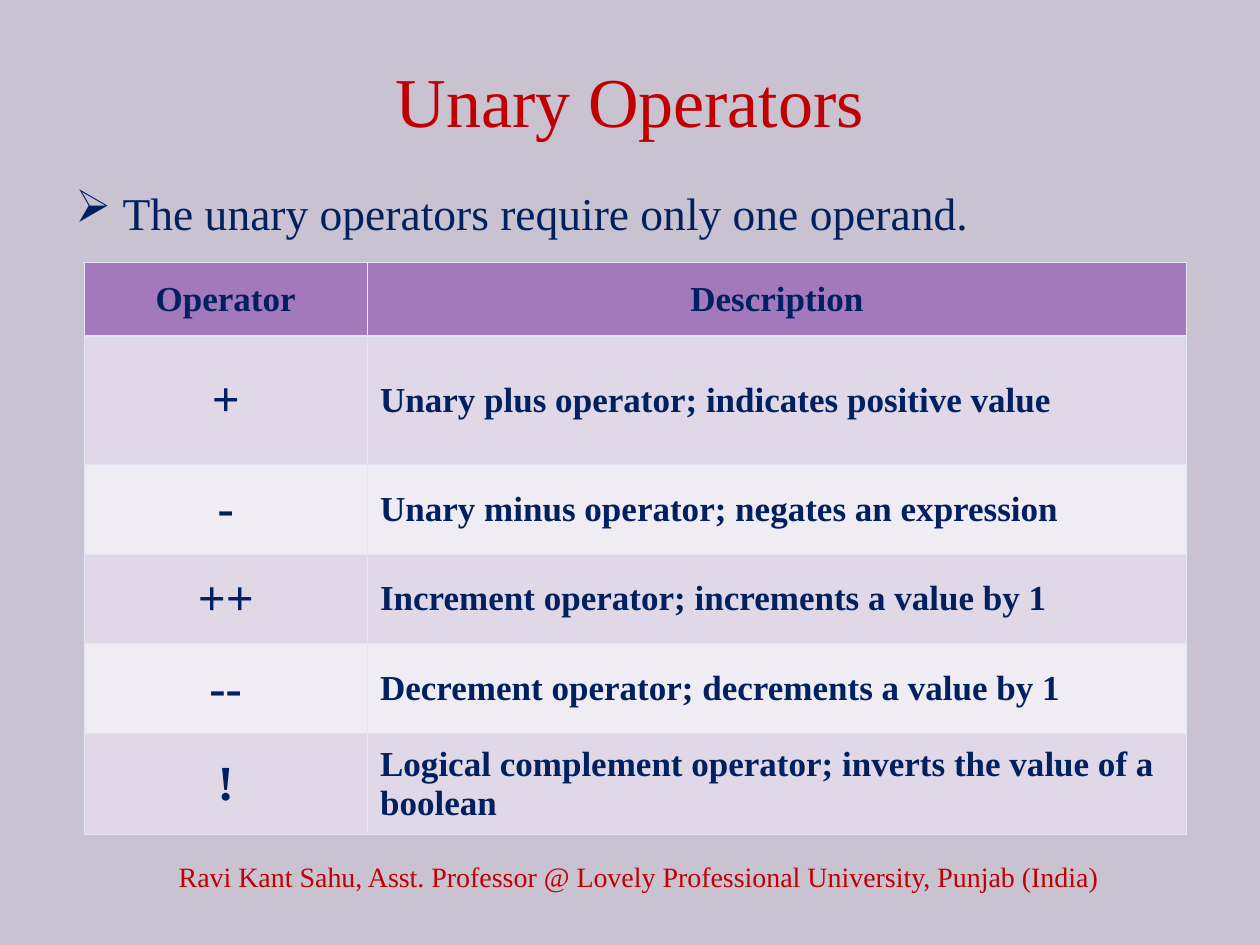
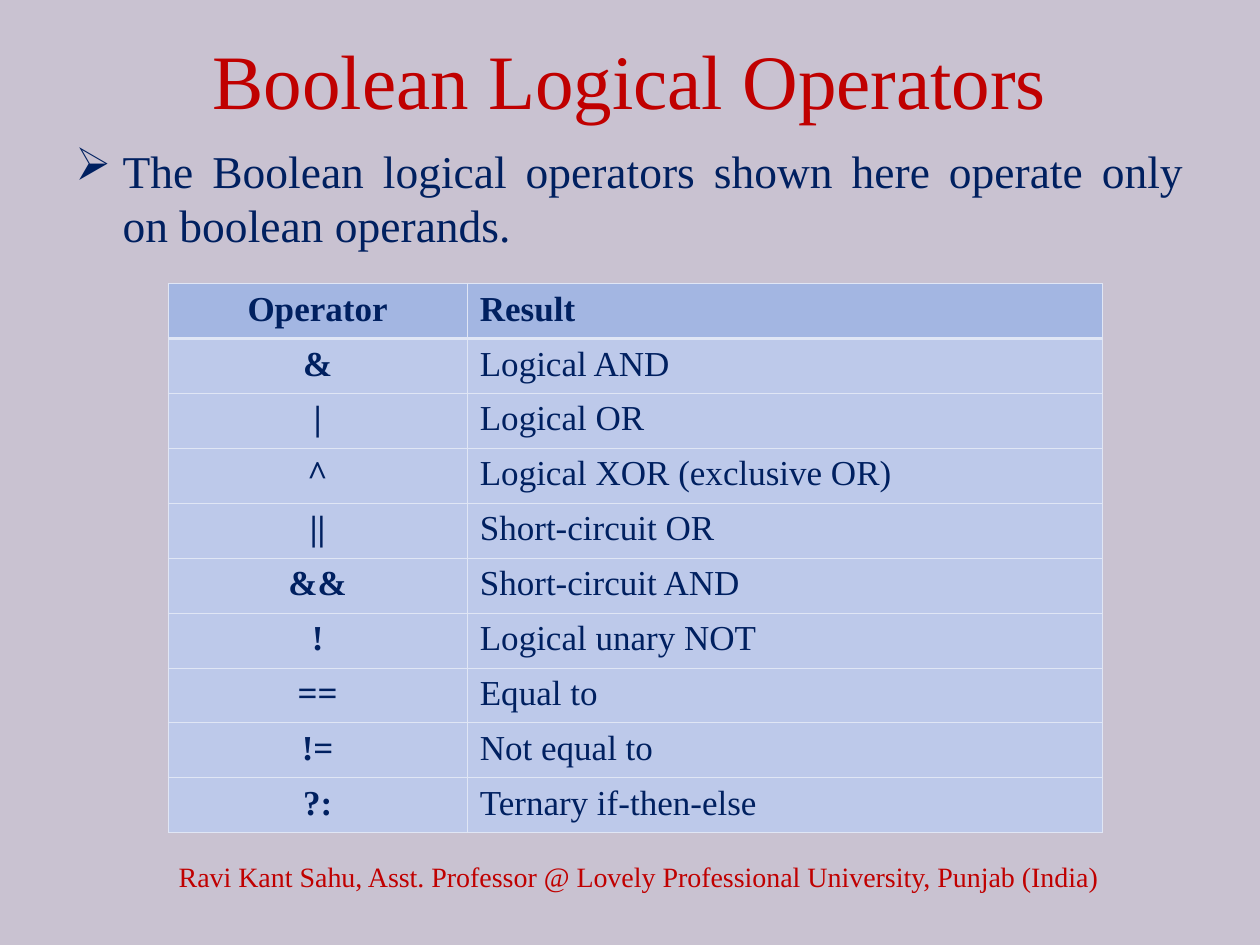
from lxml.etree import SubElement as Sub
from pptx import Presentation
from pptx.dml.color import RGBColor as Rgb
from pptx.enum.text import MSO_ANCHOR as Anchor, PP_ALIGN as Align
from pptx.oxml.ns import qn
from pptx.util import Pt

FACE = "Times New Roman"
BACK, RED, NAVY, EDGE = "C9C2D1", "C00000", "002060", "E0E6F5"
PURPLE = ("A379BB", "E0D7E7", "F0ECF3")
BLUE = ("A3B6E2", "BDC9EA", "BDC9EA")
FOOTER = "Ravi Kant Sahu, Asst. Professor @ Lovely Professional University, Punjab (India)"

UNARY = [
    ("Operator", "Description"),
    ("+", "Unary plus operator; indicates positive value"),
    ("-", "Unary minus operator; negates an expression"),
    ("++", "Increment operator; increments a value by 1"),
    ("--", "Decrement operator; decrements a value by 1"),
    ("!", "Logical complement operator; inverts the value of a boolean"),
]
LOGIC = [
    ("Operator", "Result"),
    ("&", "Logical AND"),
    ("|", "Logical OR"),
    ("^", "Logical XOR (exclusive OR)"),
    ("||", "Short-circuit OR"),
    ("&&", "Short-circuit AND"),
    ("!", "Logical unary NOT"),
    ("==", "Equal to"),
    ("!=", "Not equal to"),
    ("?:", "Ternary if-then-else"),
]


def color(code):
    return Rgb.from_string(code)


def style(para, size, code, bold=False, align=Align.LEFT):
    para.alignment = align
    for run in para.runs:
        font = run.font
        font.name, font.size, font.bold = FACE, Pt(size), bold
        font.color.rgb = color(code)


def add_text(slide, text, place, size, code, align=Align.CENTER, anchor=Anchor.MIDDLE):
    frame = slide.shapes.add_textbox(*map(Pt, place)).text_frame
    frame.word_wrap = True
    frame.vertical_anchor = anchor
    frame.text = text
    para = frame.paragraphs[0]
    style(para, size, code, align=align)
    return para


def add_point(slide, text, place, align=Align.LEFT):
    para = add_text(slide, text, place, 26, NAVY, align, Anchor.TOP)
    props = para._p.get_or_add_pPr()
    props.set("marL", str(Pt(27)))
    props.set("indent", str(-Pt(27)))
    tint = Sub(props, qn("a:buClr"))
    Sub(tint, qn("a:srgbClr"), val=NAVY)
    Sub(props, qn("a:buChar"), char="➢")


def add_edge(cell, side, width):
    line = Sub(cell._tc.get_or_add_tcPr(), qn("a:ln" + side), w=str(Pt(width)))
    fill = Sub(line, qn("a:solidFill"))
    Sub(fill, qn("a:srgbClr"), val=EDGE)


def fill_cell(cell, row, fill, anchor):
    for side in "LRTB":
        thick = (row, side) in ((0, "B"), (1, "T"))
        add_edge(cell, side, 1.47 if thick else 0.45)
    cell.fill.solid()
    cell.fill.fore_color.rgb = color(fill)
    cell.vertical_anchor = anchor


def add_grid(slide, data, spot, wides, highs, fills, anchor, mark, strong, center):
    size = sum(wides), sum(highs)
    frame = slide.shapes.add_table(len(data), len(wides), *map(Pt, (*spot, *size)))
    grid = frame.table
    for col, wide in zip(grid.columns, wides):
        col.width = Pt(wide)
    for row, (texts, high) in enumerate(zip(data, highs)):
        grid.rows[row].height = Pt(high)
        fill = fills[0] if row == 0 else fills[2 - row % 2]
        for col, text in enumerate(texts):
            cell = grid.cell(row, col)
            fill_cell(cell, row, fill, anchor)
            cell.text = text
            first = col == 0
            middle = first or (row == 0 and center)
            style(
                cell.text_frame.paragraphs[0],
                mark if first and row else 20,
                NAVY,
                bold=first or row == 0 or strong,
                align=Align.CENTER if middle else Align.LEFT,
            )


def add_slide(deck, title, place, size):
    slide = deck.slides.add_slide(deck.slide_layouts[6])
    back = slide.background.fill
    back.solid()
    back.fore_color.rgb = color(BACK)
    add_text(slide, title, place, size, RED)
    add_text(slide, FOOTER, (66, 486, 598, 29), 16, RED)
    return slide


def add_unary(deck):
    slide = add_slide(deck, "Unary Operators", (54, 30, 612, 54), 40)
    add_point(slide, "The unary operators require only one operand.", (36, 102, 648, 380))
    add_grid(slide, UNARY, (48, 150), (162, 468), (42, 73.5, 51.2, 51.2, 51.2, 57.6),
             PURPLE, Anchor.MIDDLE, mark=28, strong=True, center=True)


def add_logic(deck):
    slide = add_slide(deck, "Boolean Logical Operators", (36, 0, 648, 90), 44)
    add_point(slide, "The Boolean logical operators shown here operate only on boolean operands.",
              (36, 78, 648, 84), Align.JUSTIFY)
    add_grid(slide, LOGIC, (96, 162), (171, 363), [31.4] * len(LOGIC),
             BLUE, Anchor.TOP, mark=20, strong=False, center=False)


def main():
    deck = Presentation()
    deck.slide_width, deck.slide_height = Pt(720), Pt(540)
    add_unary(deck)
    add_logic(deck)
    deck.save("out.pptx")


if __name__ == "__main__":
    main()
